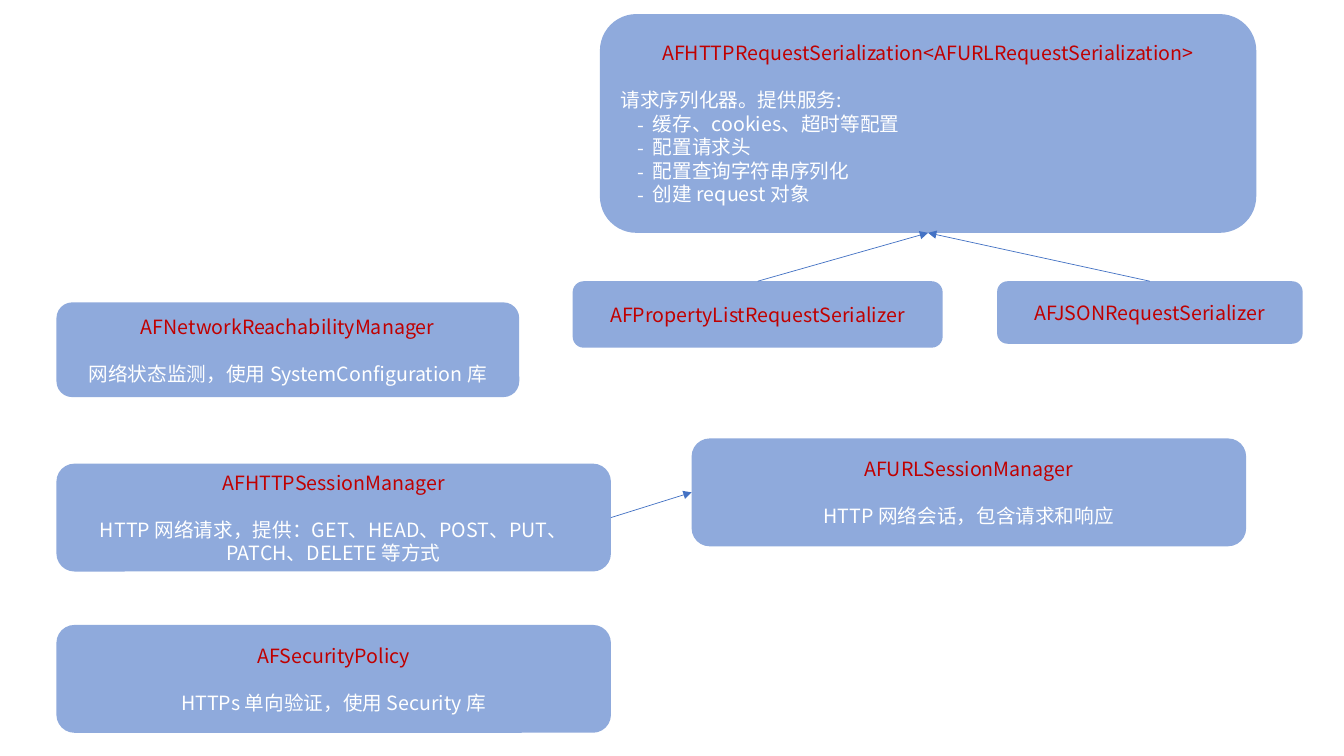
"""Build the class overview slide of the AF networking library."""
from dataclasses import dataclass

from lxml import etree
from pptx import Presentation
from pptx.dml.color import RGBColor
from pptx.enum.shapes import MSO_CONNECTOR, MSO_SHAPE
from pptx.enum.text import MSO_ANCHOR, PP_ALIGN
from pptx.oxml.ns import qn
from pptx.shapes.autoshape import Shape
from pptx.slide import Slide
from pptx.text.text import _Paragraph
from pptx.util import Inches, Pt

ROUNDED = MSO_SHAPE.ROUNDED_RECTANGLE
STRAIGHT = MSO_CONNECTOR.STRAIGHT
MIDDLE = MSO_ANCHOR.MIDDLE
CENTER, LEFT = PP_ALIGN.CENTER, PP_ALIGN.LEFT
TOP_SITE, LEFT_SITE, BOTTOM_SITE, RIGHT_SITE = range(4)

COLORS = {"box": "8FAADC", "heading": "C00000", "body": "FFFFFF", "arrow": "4472C4"}
FONT = "Noto Sans CJK SC"
TEXT_SIZE = Pt(14)
LINE_PITCH = Pt(16.8)


@dataclass(frozen=True)
class ClassBox:
    """A class name with its description and the services it offers."""
    name: str
    left: float
    top: float
    width: float
    height: float
    description: str = ""
    services: tuple[str, ...] = ()


@dataclass(frozen=True)
class Relation:
    """An arrow from one class to another, between connection sites."""
    source: str
    source_site: int
    target: str
    target_site: int


REQUEST = "AFHTTPRequestSerialization<AFURLRequestSerialization>"
CLASSES = (
    ClassBox("AFNetworkReachabilityManager", 0.56, 3, 4.59, 0.94,
             "网络状态监测，使用 SystemConfiguration 库"),
    ClassBox("AFHTTPSessionManager", 0.56, 4.6, 5.5, 1.07,
             "HTTP 网络请求，提供：GET、HEAD、POST、PUT、PATCH、DELETE 等方式"),
    ClassBox("AFURLSessionManager", 6.86, 4.35, 5.5, 1.07,
             "HTTP 网络会话，包含请求和响应"),
    ClassBox("AFSecurityPolicy", 0.56, 6.2, 5.5, 1.07,
             "HTTPs 单向验证，使用 Security 库"),
    ClassBox(REQUEST, 5.95, 0.14, 6.51, 2.17, "请求序列化器。提供服务:",
             ("缓存、cookies、超时等配置", "配置请求头",
              "配置查询字符串序列化", "创建 request 对象")),
    ClassBox("AFPropertyListRequestSerializer", 5.68, 2.79, 3.67, 0.66),
    ClassBox("AFJSONRequestSerializer", 9.89, 2.79, 3.03, 0.62),
)
RELATIONS = (
    Relation("AFHTTPSessionManager", RIGHT_SITE, "AFURLSessionManager", LEFT_SITE),
    Relation("AFPropertyListRequestSerializer", TOP_SITE, REQUEST, BOTTOM_SITE),
    Relation("AFJSONRequestSerializer", TOP_SITE, REQUEST, BOTTOM_SITE),
)


def color(role: str) -> RGBColor:
    """Return the colour of a role."""
    return RGBColor.from_string(COLORS[role])


def write_line(paragraph: _Paragraph, text: str, role: str, alignment: PP_ALIGN) -> None:
    """Fill a paragraph with one formatted run."""
    paragraph.alignment = alignment
    paragraph.line_spacing = LINE_PITCH
    run = paragraph.add_run()
    run.text = text
    run.font.size = TEXT_SIZE
    run.font.color.rgb = color(role)
    run.font.name = FONT
    etree.SubElement(run.font._element, qn("a:ea"), typeface=FONT)


def add_dash(paragraph: _Paragraph) -> None:
    """Give a paragraph a hanging dash bullet."""
    properties = paragraph._p.get_or_add_pPr()
    properties.set("marL", str(Inches(0.32)))
    properties.set("indent", str(Inches(-0.15)))
    etree.SubElement(properties, qn("a:buFont"), typeface=FONT)
    etree.SubElement(properties, qn("a:buChar"), char="-")


def draw_class(slide: Slide, box: ClassBox) -> Shape:
    """Draw a class box with its text."""
    shape = slide.shapes.add_shape(ROUNDED, Inches(box.left), Inches(box.top),
                                   Inches(box.width), Inches(box.height))
    shape.shadow.inherit = False
    shape.fill.solid()
    shape.fill.fore_color.rgb = color("box")
    shape.line.fill.background()
    frame = shape.text_frame
    frame.word_wrap = True
    frame.vertical_anchor = MIDDLE
    heading = frame.paragraphs[0]
    write_line(heading, box.name, "heading", CENTER)
    if box.description:
        heading.space_after = LINE_PITCH
        alignment = LEFT if box.services else CENTER
        write_line(frame.add_paragraph(), box.description, "body", alignment)
    for service in box.services:
        item = frame.add_paragraph()
        write_line(item, service, "body", LEFT)
        add_dash(item)
    return shape


def draw_relation(slide: Slide, relation: Relation, shapes: dict[str, Shape]) -> None:
    """Draw an arrow glued to two class boxes."""
    arrow = slide.shapes.add_connector(STRAIGHT, 0, 0, 0, 0)
    arrow.begin_connect(shapes[relation.source], relation.source_site)
    arrow.end_connect(shapes[relation.target], relation.target_site)
    arrow.line.color.rgb = color("arrow")
    arrow.line.width = Pt(0.5)
    etree.SubElement(arrow.line._get_or_add_ln(), qn("a:tailEnd"), type="triangle")
    etree.SubElement(arrow._element.spPr, qn("a:effectLst"))


def main() -> None:
    """Build and save the presentation."""
    presentation = Presentation()
    presentation.slide_width = Inches(13.33)
    presentation.slide_height = Inches(7.5)
    slide = presentation.slides.add_slide(presentation.slide_layouts[6])
    shapes = {box.name: draw_class(slide, box) for box in CLASSES}
    for relation in RELATIONS:
        draw_relation(slide, relation, shapes)
    presentation.save("out.pptx")


if __name__ == "__main__":
    main()
